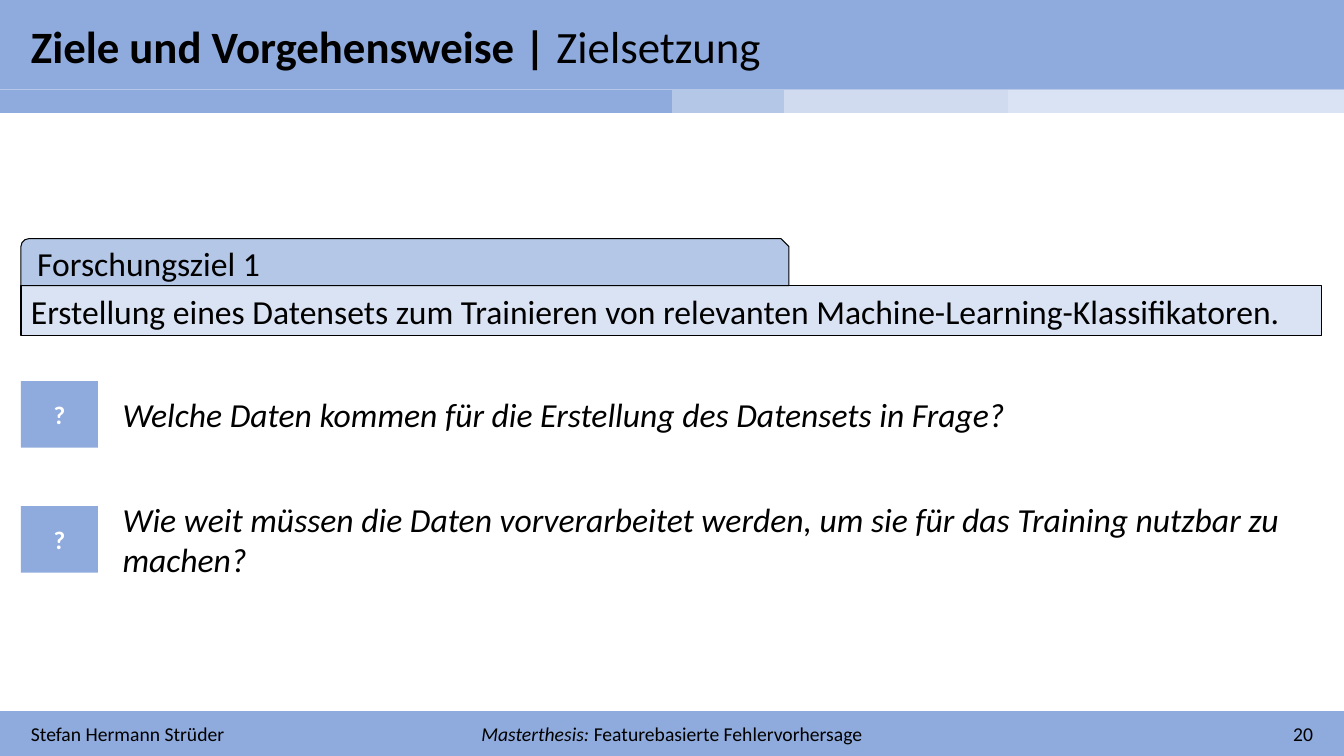
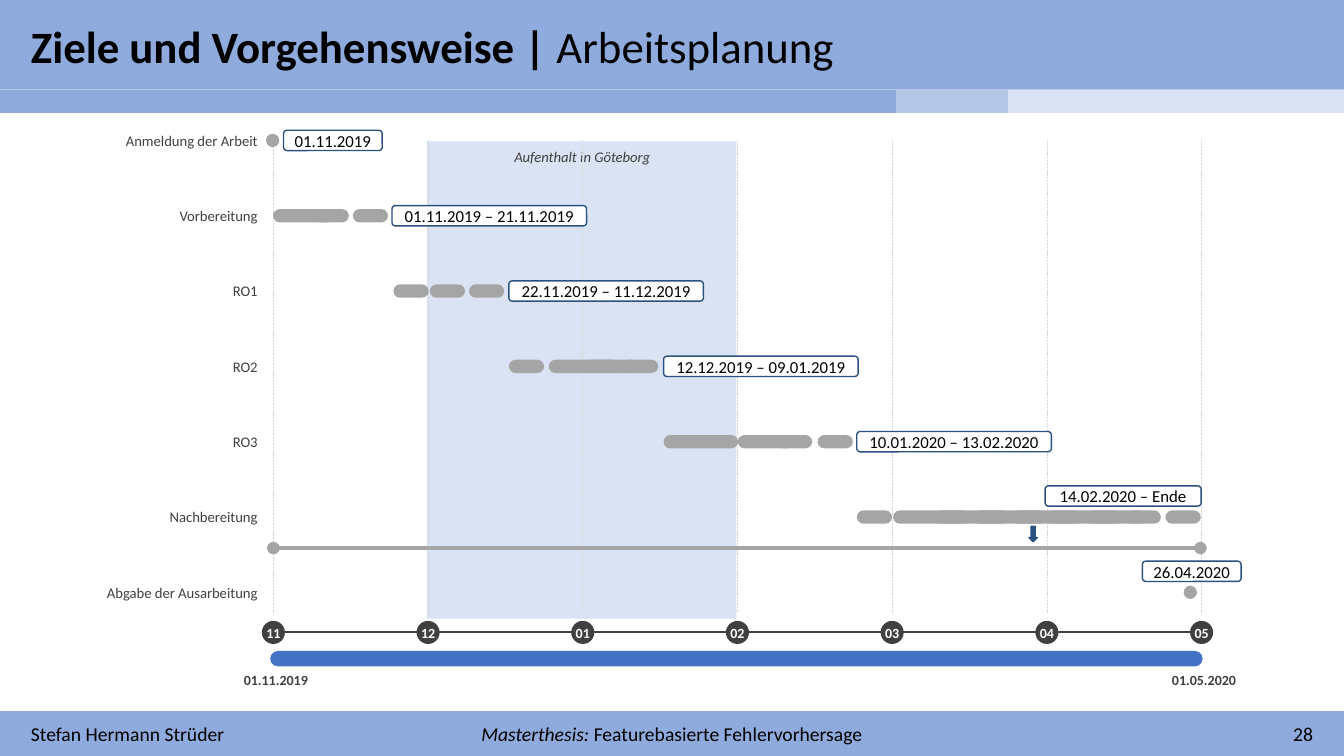
"""Two thesis slides: a research goal with its questions, and the work plan as a timeline."""
from lxml import etree
from pptx import Presentation
from pptx import util as u
from pptx.dml.color import RGBColor
from pptx.enum import dml, shapes, text
from pptx.oxml.ns import qn


class Theme:
    font = "Calibri"
    blue, mid, soft, pale = "8FAADC", "B4C7E7", "D0DBF0", "DAE3F3"
    black, white, dark, gray, grid = "000000", "FFFFFF", "404040", "A5A5A5", "D9D9D9"
    navy, bar = "2B5181", "4472C4"
    title, body, mark, footer, tag, label, small = 32, 24, 18, 14, 12, 10.5, 10


SHAPE, ALIGN, ANCHOR = shapes.MSO_SHAPE, text.PP_ALIGN, text.MSO_ANCHOR
LEFT, CENTER, RIGHT = ALIGN.LEFT, ALIGN.CENTER, ALIGN.RIGHT


def box(s, x, y, w, h, kind=None, fill=None, line=None, width=1):
    """Add a preset shape, or a text box when no kind is given."""
    place = [u.Pt(v) for v in (x, y, w, h)]
    if kind is None:
        return s.shapes.add_textbox(*place)
    sp = s.shapes.add_shape(kind, *place)
    sp.shadow.inherit = False
    sp.fill.solid()
    sp.fill.fore_color.rgb = RGBColor.from_string(fill)
    if line:
        sp.line.color.rgb = RGBColor.from_string(line)
        sp.line.width = u.Pt(width)
    else:
        sp.line.fill.background()
    return sp


def write(sp, parts, size, color=Theme.black, align=LEFT, anchor=ANCHOR.MIDDLE, inset=(7.2, 3.6)):
    """Fill a shape with one paragraph of (text, style) parts; style holds b and i."""
    tf = sp.text_frame
    tf.word_wrap = True
    tf.vertical_anchor = anchor
    tf.margin_left = tf.margin_right = u.Pt(inset[0])
    tf.margin_top = tf.margin_bottom = u.Pt(inset[1])
    p = tf.paragraphs[0]
    p.alignment = align
    for words, style in parts:
        r = p.add_run()
        r.text = words
        r.font.name, r.font.size = Theme.font, u.Pt(size)
        r.font.bold, r.font.italic = "b" in style, "i" in style
        r.font.color.rgb = RGBColor.from_string(color)


prs = Presentation()
prs.slide_width, prs.slide_height = u.Pt(960), u.Pt(540)
t = Theme

pages = [
    ("Zielsetzung", "20", [t.blue] * 3 + [t.mid, t.soft, t.soft, t.pale]),
    ("Arbeitsplanung", "28", [t.blue] * 5 + [t.mid, t.pale]),
]
for topic, number, tones in pages:
    s = prs.slides.add_slide(prs.slide_layouts[6])
    box(s, 0, 508, 960, 32, SHAPE.RECTANGLE, t.blue)
    box(s, 0, 0, 960, 64, SHAPE.RECTANGLE, t.blue)
    write(box(s, 15, 9.5, 930, 46), [("Ziele und Vorgehensweise | ", "b"), (topic, "")], t.title)
    footers = [
        (15, 258, LEFT, [("Stefan Hermann Strüder", "")]),
        (333, 294, CENTER, [("Masterthesis: ", "i"), ("Featurebasierte Fehlervorhersage", "")]),
        (687, 258, RIGHT, [(number, "")]),
    ]
    for x, w, align, parts in footers:
        write(box(s, x, 512, w, 24.5), parts, t.footer, align=align)

    table = s.shapes.add_table(1, 7, 0, u.Pt(64.4), u.Pt(960), u.Pt(16)).table
    table.first_row = table.horz_banding = False
    table._tbl.tblPr.find(qn("a:tableStyleId")).text = "{2D5ABB26-0587-4C30-8999-92F81FD0307C}"
    for i, (w, tone) in enumerate(zip([240, 120, 120, 80, 80, 80, 240], tones)):
        table.columns[i].width = u.Pt(w)
        cell = table.cell(0, i)
        cell.margin_top = cell.margin_bottom = 0
        cell.fill.solid()
        cell.fill.fore_color.rgb = RGBColor.from_string(tone)
        etree.SubElement(cell.text_frame.paragraphs[0]._p, qn("a:endParaRPr"), sz="800")

goal, plan = prs.slides

sp = box(goal, 15, 204, 929, 36, SHAPE.RECTANGLE, t.pale, t.black, 0.75)
write(sp, [("Erstellung eines Datensets zum Trainieren von relevanten "
            "Machine-Learning-Klassifikatoren.", "")], t.body)
sp = box(goal, 15, 170.5, 548.5, 33.5, SHAPE.SNIP_ROUND_RECTANGLE, t.mid, t.black, 0.75)
write(sp, [("Forschungsziel 1", "")], t.body, inset=(10, 3.6))
questions = [
    "Welche Daten kommen für die Erstellung des Datensets in Frage?",
    "Wie weit müssen die Daten vorverarbeitet werden, um sie für das Training nutzbar zu machen?",
]
for i, question in enumerate(questions):
    middle = 296 + 89.3 * i
    sp = box(goal, 15, middle - 23.75, 55, 47.5, SHAPE.RECTANGLE, t.blue)
    write(sp, [("?", "b")], t.mark, t.white, CENTER)
    write(box(goal, 80.5, middle - 33, 863, 66), [(question, "i")], t.body)

box(plan, 305, 101, 221, 341, SHAPE.RECTANGLE, t.pale)
write(box(plan, 366, 104.5, 100, 14.5), [("Aufenthalt in Göteborg", "i")],
      t.label, t.dark, CENTER, inset=(0, 0))

months = ["11", "12", "01", "02", "03", "04", "05"]
month_x = [195.3 + 110.5 * i for i in range(len(months))]
first, last = month_x[0], month_x[-1]
lines = [(x, 100, x, 438, t.grid, 0.5, "dash") for x in month_x]
lines += [(first, 451.5, last, 451.5, t.dark, 1.25, ""),
          (first, 391.5, last - 0.8, 391.5, t.gray, 3, "oval")]
for x1, y1, x2, y2, color, width, style in lines:
    ln = plan.shapes.add_connector(shapes.MSO_CONNECTOR.STRAIGHT,
                                   u.Pt(x1), u.Pt(y1), u.Pt(x2), u.Pt(y2))
    ln.line.color.rgb = RGBColor.from_string(color)
    ln.line.width = u.Pt(width)
    if style == "dash":
        ln.line.dash_style = dml.MSO_LINE.SQUARE_DOT
    props = ln._element.spPr
    if style == "oval":
        for end in ("a:headEnd", "a:tailEnd"):
            etree.SubElement(props.find(qn("a:ln")), qn(end), type="oval")
    etree.SubElement(props, qn("a:effectLst"))

for x, month in zip(month_x, months):
    sp = box(plan, x - 8.25, 443.5, 16.5, 16.5, SHAPE.OVAL, t.dark)
    write(sp, [(month, "b")], t.small, t.white, CENTER, inset=(0, 0))
sp = box(plan, 193, 465, 666, 11, SHAPE.ROUNDED_RECTANGLE, t.bar)
sp.adjustments[0] = 0.5
for x, date in ((197, "01.11.2019"), (860, "01.05.2020")):
    write(box(plan, x - 25, 480, 50, 15), [(date, "b")], t.small, t.dark, CENTER, ANCHOR.TOP, (0, 0))

DOT, STEP = 9.5, 25.2
tasks = [
    ("Anmeldung der Arbeit", [(190, DOT)], "01.11.2019", 202.5, 70.5, 0),
    ("Vorbereitung", [(195, 43), (224, STEP), (252, STEP)],
     "01.11.2019 – 21.11.2019", 280, 139, 0),
    ("RO1", [(281, STEP), (307, STEP), (335, STEP)],
     "22.11.2019 – 11.12.2019", 363.5, 139, 0),
    ("RO2", [(363.5, STEP), (392, 64), (417, STEP), (445, STEP)],
     "12.12.2019 – 09.01.2019", 474, 139, 0),
    ("RO3", [(474, 37), (502, STEP), (527, 39), (555, STEP), (584, STEP)],
     "10.01.2020 – 13.02.2020", 612, 139, 0),
    ("Nachbereitung", [(612, STEP), (638, 181), (667, STEP), (695, STEP), (723, STEP),
                       (747.5, STEP), (776, STEP), (804, STEP), (832.5, STEP)],
     "14.02.2020 – Ende", 746.5, 111.5, -15),
    ("Abgabe der Ausarbeitung", [(845.5, DOT)], "26.04.2020", 816, 70.5, -15),
]
for i, (task, bars, dates, tag_x, tag_w, shift) in enumerate(tasks):
    middle = 100.3 + 53.8 * i
    write(box(plan, 64, middle - 7.25, 120, 14.5), [(task, "")], t.label, t.dark, RIGHT, inset=(0, 0))
    for x, w in bars:
        sp = box(plan, x, middle - DOT / 2, w, DOT, SHAPE.ROUNDED_RECTANGLE, t.gray)
        sp.adjustments[0] = 0.5
    sp = box(plan, tag_x, middle - 7.25 + shift, tag_w, 14.5,
             SHAPE.ROUNDED_RECTANGLE, t.white, t.navy)
    write(sp, [(dates, "")], t.tag, align=CENTER, inset=(0, 0))
box(plan, 735, 376, 6, 11, SHAPE.DOWN_ARROW, t.navy, t.navy)

prs.save("out.pptx")
